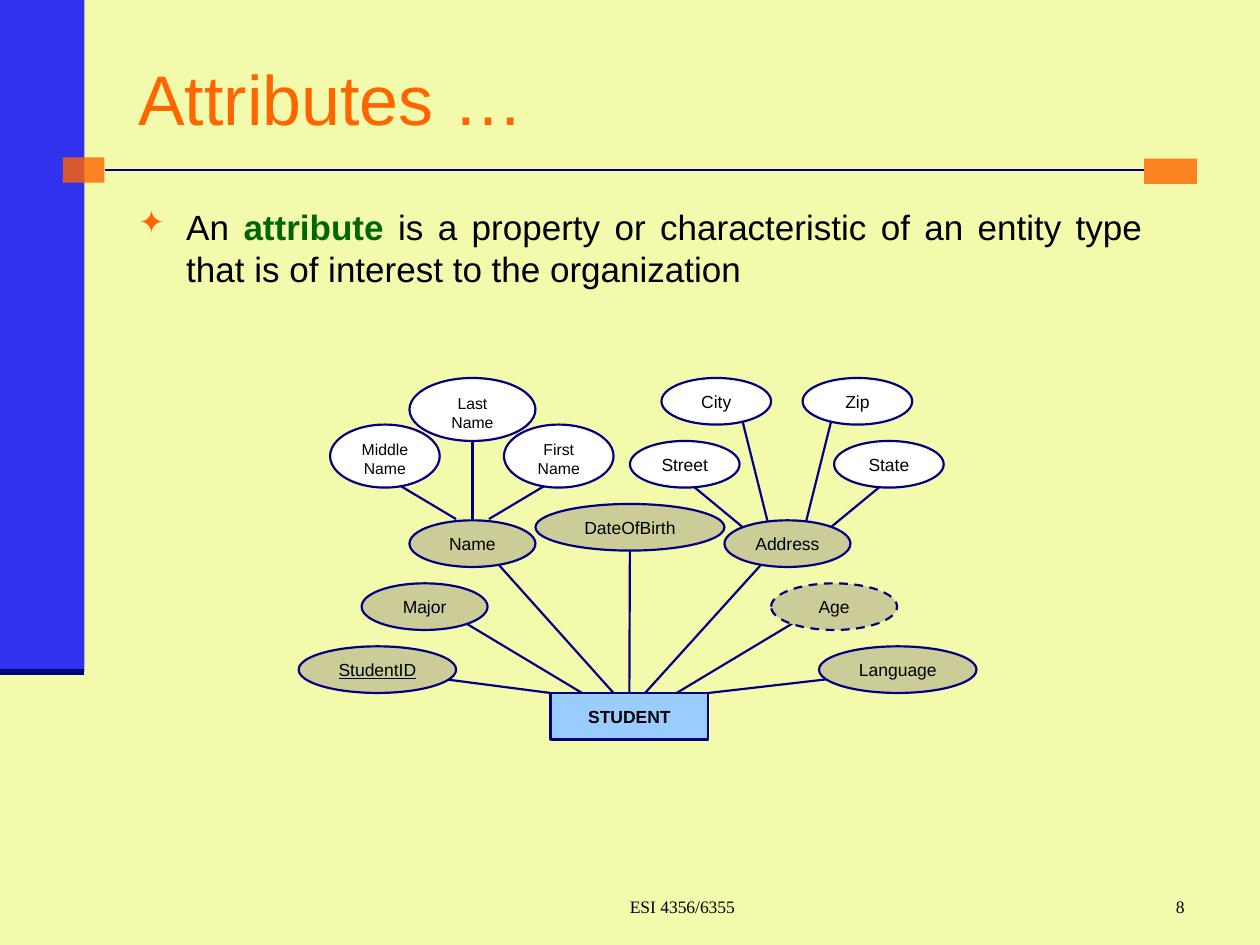
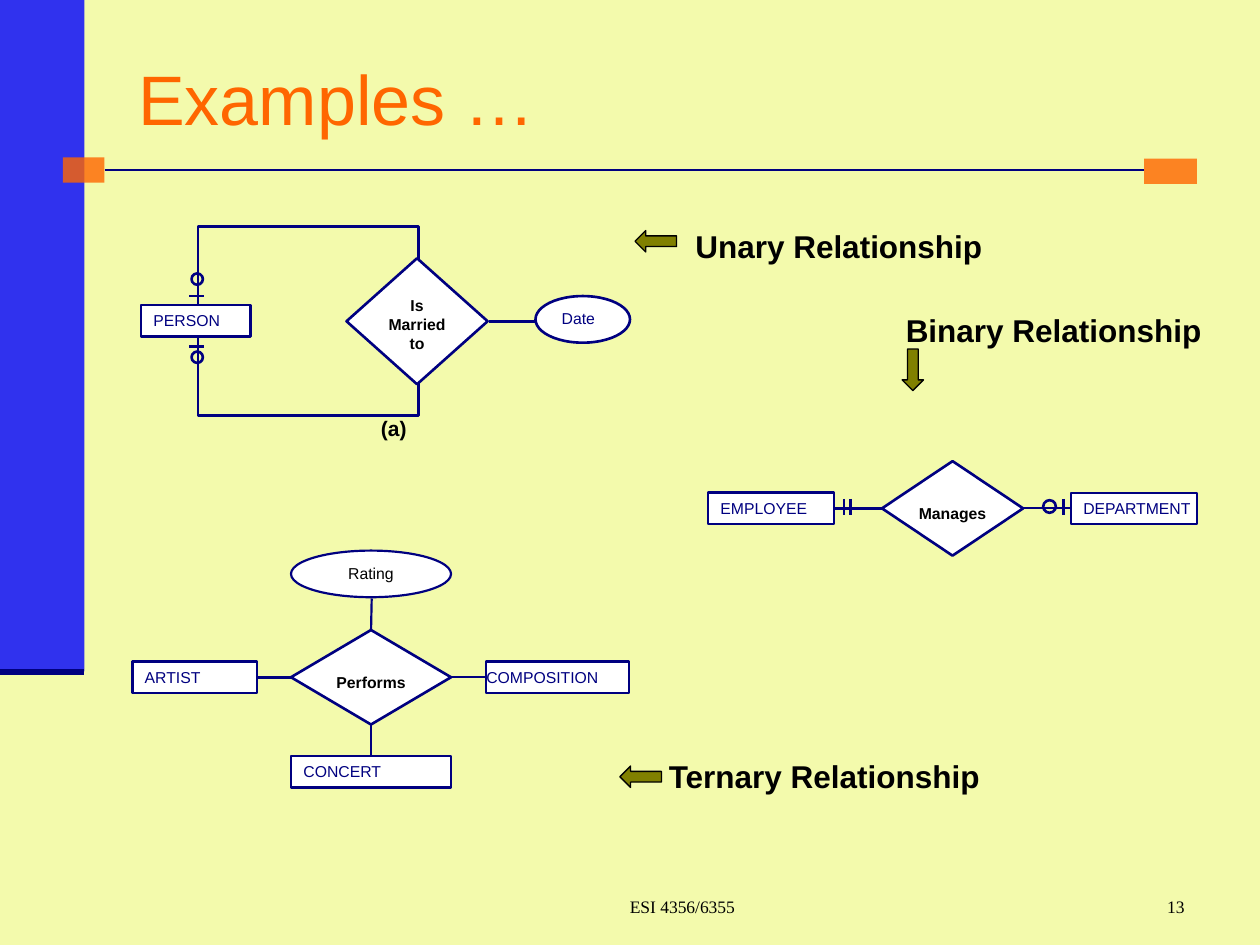
from lxml import etree
from pptx import Presentation
from pptx.dml.color import RGBColor
from pptx.enum.dml import MSO_LINE
from pptx.enum.shapes import MSO_CONNECTOR, MSO_SHAPE
from pptx.enum.text import MSO_ANCHOR, PP_ALIGN
from pptx.oxml.ns import qn
from pptx.util import Inches, Pt

RECT, OVAL = MSO_SHAPE.RECTANGLE, MSO_SHAPE.OVAL
DIAMOND, ARROW = MSO_SHAPE.DIAMOND, MSO_SHAPE.LEFT_ARROW
STRAIGHT = MSO_CONNECTOR.STRAIGHT
DASH = MSO_LINE.DASH
LEFT, CENTER, RIGHT, JUSTIFY = (
    PP_ALIGN.LEFT, PP_ALIGN.CENTER, PP_ALIGN.RIGHT, PP_ALIGN.JUSTIFY)
TOP, MIDDLE, BOTTOM = MSO_ANCHOR.TOP, MSO_ANCHOR.MIDDLE, MSO_ANCHOR.BOTTOM
UP_SIDE, LEFT_SIDE, DOWN_SIDE, RIGHT_SIDE = range(4)

CREAM = RGBColor(0xF3, 0xFA, 0xAC)
BLUE = RGBColor(0x00, 0x00, 0xFF)
NAVY = RGBColor(0x00, 0x00, 0x80)
ORANGE = RGBColor(0xFF, 0x66, 0x00)
GREEN = RGBColor(0x00, 0x66, 0x00)
SKY = RGBColor(0x99, 0xCC, 0xFF)
KHAKI = RGBColor(0xCC, 0xCC, 0x99)
OLIVE = RGBColor(0x80, 0x80, 0x00)
WHITE = RGBColor(0xFF, 0xFF, 0xFF)
BLACK = RGBColor(0x00, 0x00, 0x00)

SANS, SERIF = "Arial", "Times New Roman"
INSETS = (0.1, 0.05, 0.1, 0.05)
THIN, THICK = 1.25, 1.5


def write(shape, text, size, color=BLACK, bold=False, align=LEFT,
          anchor=TOP, insets=INSETS, font=SANS, wrap=True):
    """Fill the text frame of a shape with one formatted paragraph."""
    frame = shape.text_frame
    frame.text = text
    frame.word_wrap = wrap
    frame.vertical_anchor = anchor
    (frame.margin_left, frame.margin_top,
     frame.margin_right, frame.margin_bottom) = map(Inches, insets)
    par = frame.paragraphs[0]
    par.alignment = align
    for run in par.runs:
        run.font.name = font
        run.font.size = Pt(size)
        run.font.bold = bold
        run.font.color.rgb = color
    return par


def label(slide, at, text, size, **style):
    box = slide.shapes.add_textbox(*map(Inches, at))
    return write(box, text, size, **style)


def draw(slide, kind, at, fill=None, line=NAVY, width=THICK):
    """Add a preset shape; None as fill or line leaves it out."""
    shape = slide.shapes.add_shape(kind, *map(Inches, at))
    shape.shadow.inherit = False
    if fill is None:
        shape.fill.background()
    else:
        shape.fill.solid()
        shape.fill.fore_color.rgb = fill
    if line is None:
        shape.line.fill.background()
    else:
        shape.line.color.rgb = line
        shape.line.width = Pt(width)
    return shape


def band(slide, at, color):
    """Add an unlined block at 80% opacity."""
    shape = draw(slide, RECT, at, color, None)
    tone = shape.fill._xPr.find(".//" + qn("a:srgbClr"))
    etree.SubElement(tone, qn("a:alpha")).set("val", "80000")


def rule(slide, x1, y1, x2, y2, width=THIN):
    line = slide.shapes.add_connector(STRAIGHT, *map(Inches, (x1, y1, x2, y2)))
    line.line.color.rgb = NAVY
    line.line.width = Pt(width)
    etree.SubElement(line._element.spPr, qn("a:effectLst"))
    return line


def join(slide, first, side, last, end, width=THIN):
    """Link the middles of two sides."""
    line = rule(slide, 0, 0, 1, 1, width)
    line.begin_connect(first, side)
    line.end_connect(last, end)


def entity(slide, at, text, width=THICK, insets=INSETS):
    box = draw(slide, RECT, at, WHITE, width=width)
    write(box, text, 9, NAVY, insets=insets)
    return box


def relation(slide, at, text, drop=0.15):
    shape = draw(slide, DIAMOND, at, WHITE)
    write(shape, text, 9, bold=True, align=CENTER, insets=(0, drop, 0, 0.05))
    return shape


def oval(slide, at, text, size=10, fill=WHITE):
    shape = draw(slide, OVAL, at, fill, width=THIN)
    run = write(shape, text, size, align=CENTER).runs[0]
    return shape, run


def add_bullet(par, mark, color):
    props = par._p.get_or_add_pPr()
    props.set("marL", str(Inches(0.38)))
    props.set("indent", str(-Inches(0.38)))
    tint = etree.SubElement(props, qn("a:buClr"))
    etree.SubElement(tint, qn("a:srgbClr")).set("val", str(color))
    etree.SubElement(props, qn("a:buSzPct")).set("val", "90000")
    etree.SubElement(props, qn("a:buChar")).set("char", mark)


def start(prs, title, number):
    """Add a slide with the bands, title and footer that all slides share."""
    slide = prs.slides.add_slide(prs.slide_layouts[6])
    band(slide, (0, 0, 0.67, 5.33), BLUE)
    rule(slide, 0, 5.33, 0.67, 5.33, 3.5)
    band(slide, (9.08, 1.26, 0.42, 0.2), ORANGE)
    band(slide, (0.5, 1.25, 0.33, 0.2), ORANGE)
    rule(slide, 0.83, 1.35, 9.08, 1.35, THICK)
    label(slide, (1, 0.3, 8.5, 0.95), title, 40, color=ORANGE, anchor=MIDDLE)
    foot = {"font": SERIF, "anchor": BOTTOM}
    par = label(slide, (3.67, 6.83, 3.25, 0.5), "ESI 4356/6355", 10,
                align=CENTER, **foot)
    par._p.get_or_add_pPr().set("marL", str(Inches(0.24)))
    label(slide, (7.42, 6.83, 2.08, 0.5), str(number), 10,
          align=RIGHT, **foot)
    return slide


def attributes(prs):
    slide = start(prs, "Attributes …", 8)
    par = label(slide, (1, 1.58, 8.17, 0.84), "An ", 20, align=JUSTIFY)
    add_bullet(par, "✦", ORANGE)
    term, rest = par.add_run(), par.add_run()
    term.text = "attribute"
    rest.text = (" is a property or characteristic of an entity type"
                 " that is of interest to the organization")
    for run, color in ((term, GREEN), (rest, BLACK)):
        run.font.name = SANS
        run.font.size = Pt(20)
        run.font.color.rgb = color
    term.font.bold = True

    student = draw(slide, RECT, (4.37, 5.5, 1.25, 0.37), SKY)
    write(student, "STUDENT", 10, bold=True, align=CENTER,
          insets=(0.1, 0.1, 0.1, 0.05))
    stem = rule(slide, 5, 4.13, 5, 5.5)
    stem.end_connect(student, UP_SIDE)
    for ends in (
        (3.37, 5.37, 4.37, 5.5), (3.37, 4.75, 4.62, 5.5),
        (3.75, 4.25, 4.87, 5.5), (6.25, 4.25, 5.12, 5.5),
        (6.62, 4.75, 5.37, 5.5), (6.75, 5.37, 5.62, 5.5),
        (5.37, 3.75, 6.12, 4.37), (5.87, 3.25, 6.12, 4.25),
        (6.62, 3.25, 6.37, 4.25), (7.12, 3.75, 6.37, 4.37),
        (3.75, 3.37, 3.75, 4.12), (4.5, 3.75, 3.88, 4.12),
        (3, 3.75, 3.62, 4.12),
    ):
        rule(slide, *ends)

    for text, left, top, width in (
        ("StudentID", 2.37, 5.13, 1.25), ("Name", 3.25, 4.13, 1),
        ("DateOfBirth", 4.25, 4, 1.5), ("Major", 2.87, 4.63, 1),
        ("Age", 6.12, 4.63, 1), ("Language", 6.5, 5.13, 1.25),
        ("Address", 5.75, 4.13, 1),
    ):
        shape, run = oval(slide, (left, top, width, 0.37), text, fill=KHAKI)
        if text == "StudentID":
            run.font.underline = True
        if text == "Age":
            shape.line.dash_style = DASH
    for text, left, top, width in (
        ("First Name", 4, 3.37, 0.87), ("Last Name", 3.25, 3, 1),
        ("Middle Name", 2.62, 3.37, 0.87),
    ):
        oval(slide, (left, top, width, 0.5), text, 9)
    for text, left, top in (
        ("Street", 5, 3.5), ("City", 5.25, 3),
        ("Zip", 6.37, 3), ("State", 6.62, 3.5),
    ):
        oval(slide, (left, top, 0.87, 0.37), text)


def unary(slide):
    rule(slide, 3.88, 2.55, 4.25, 2.55, THICK)
    draw(slide, RECT, (1.57, 1.8, 1.75, 1.5))
    relation(slide, (2.75, 2.05, 1.12, 1), "Is Married to", 0.05)
    entity(slide, (1.12, 2.42, 0.87, 0.25), "PERSON")
    date = draw(slide, OVAL, (4.25, 2.35, 0.75, 0.37), WHITE)
    write(date, "Date", 9, NAVY)
    for ring, bar in ((2.17, 2.35), (2.79, 2.75)):
        draw(slide, OVAL, (1.52, ring, 0.09, 0.09))
        rule(slide, 1.5, bar, 1.62, bar, THICK)
    label(slide, (2.75, 3.3, 0.75, 0.24), "(a)", 12, bold=True,
          align=CENTER, insets=(0.1, 0, 0.1, 0))


def binary(slide):
    manages = relation(slide, (7, 3.66, 1.12, 0.75), "Manages")
    staff = entity(slide, (5.62, 3.91, 1, 0.25), "EMPLOYEE")
    unit = entity(slide, (8.5, 3.91, 1, 0.25), "DEPARTMENT", THIN,
                  (0.1, 0.05, 0, 0.05))
    join(slide, staff, RIGHT_SIDE, manages, LEFT_SIDE, THICK)
    join(slide, manages, RIGHT_SIDE, unit, LEFT_SIDE)
    draw(slide, OVAL, (8.28, 3.97, 0.1, 0.1))
    for x in (6.7, 6.75, 8.44):
        rule(slide, x, 3.96, x, 4.09)


def ternary(slide):
    performs = relation(slide, (2.31, 5, 1.27, 0.75), "Performs")
    artist = entity(slide, (1.05, 5.25, 0.99, 0.25), "ARTIST")
    work = entity(slide, (3.86, 5.25, 1.13, 0.25), "COMPOSITION", THIN,
                  (0, 0.05, 0, 0.05))
    concert = entity(slide, (2.31, 6, 1.27, 0.25), "CONCERT", THIN)
    rating, _ = oval(slide, (2.31, 4.37, 1.27, 0.37), "Rating", 9)
    join(slide, artist, RIGHT_SIDE, performs, LEFT_SIDE, THICK)
    join(slide, performs, RIGHT_SIDE, work, LEFT_SIDE)
    join(slide, performs, DOWN_SIDE, concert, UP_SIDE)
    stem = rule(slide, 2.95, 4.75, 2.95, 5)
    stem.end_connect(performs, UP_SIDE)


def examples(prs):
    slide = start(prs, "Examples …", 13)
    unary(slide)
    binary(slide)
    ternary(slide)
    for text, left, top, width, tip, turn in (
        ("Unary Relationship", 5.42, 1.75, 2.48, (5.04, 1.83), 0),
        ("Binary Relationship", 7.09, 2.42, 2.55, (7.08, 2.85), 270),
        ("Ternary Relationship", 5.21, 5.96, 2.68, (4.92, 6.08), 0),
    ):
        label(slide, (left, top, width, 0.4), text, 18, bold=True, wrap=False)
        arrow = draw(slide, ARROW, (*tip, 0.33, 0.17), OLIVE, BLACK, 0.75)
        arrow.rotation = turn


def main():
    prs = Presentation()
    prs.slide_width, prs.slide_height = Inches(10), Inches(7.5)
    back = prs.slide_master.background.fill
    back.solid()
    back.fore_color.rgb = CREAM
    attributes(prs)
    examples(prs)
    prs.save("out.pptx")


if __name__ == "__main__":
    main()
